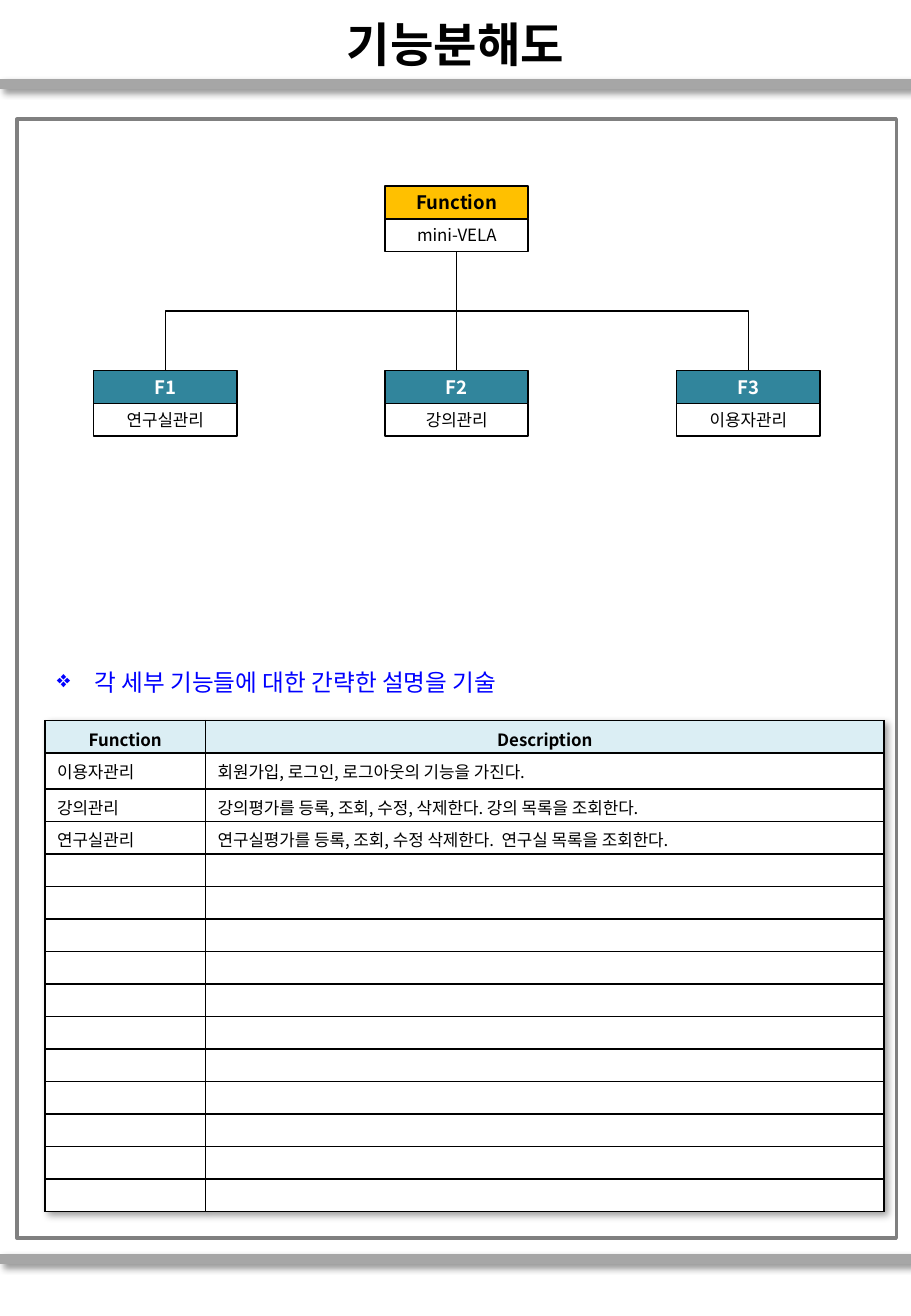
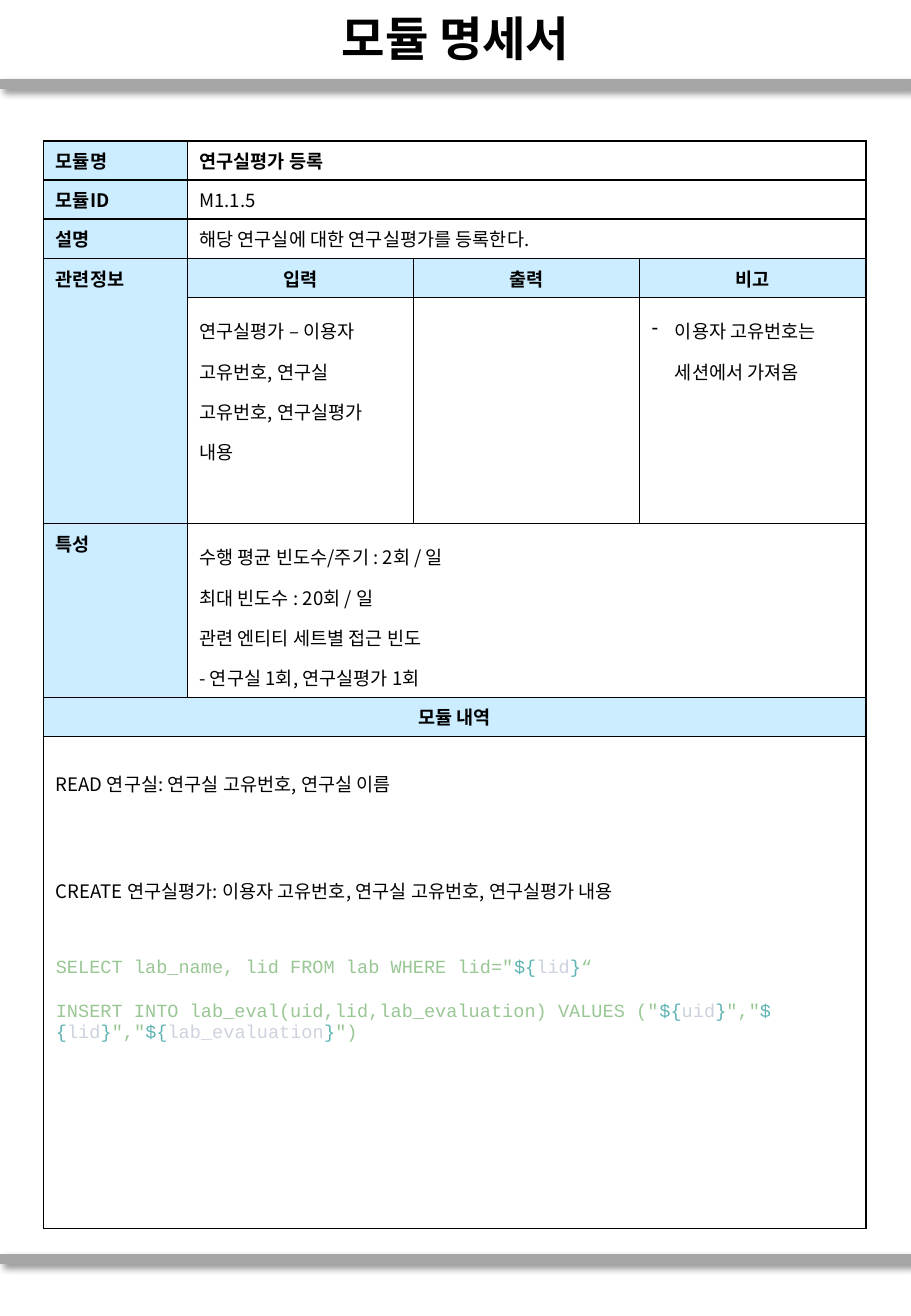
from dataclasses import dataclass

from lxml import etree
from pptx import Presentation
from pptx import util as u
from pptx.dml.color import RGBColor
from pptx.enum import shapes, text
from pptx.oxml import ns

FONT, CODE_FONT = "Noto Sans CJK KR", "Courier New"
BLACK, WHITE, BLUE = "000000", "FFFFFF", "0000FF"
BAND, FRAME = "A6A6A6", "808080"
ROOT, BRANCH = "FFC000", "31859C"
HEADING, LABEL = "DBEEF4", "CCECFF"
SQL, MARK, FIELD = "99C794", "5FB3B3", "CDD3DE"
CENTER = text.PP_ALIGN.CENTER


@dataclass
class Box:
    left: float
    top: float
    width: float
    height: float

    def area(self, left, top, width, height):
        return Box(self.left + self.width * left / 100,
                   self.top + self.height * top / 100,
                   self.width * width / 100, self.height * height / 100)

    def emu(self):
        return [u.Inches(v) for v in (self.left, self.top, self.width, self.height)]


PAGE = Box(0, 0, 7.5, 10.83)


def rgb(color):
    return RGBColor.from_string(color)


def add_xml(parent, tag, **attributes):
    return etree.SubElement(parent, ns.qn(tag), attributes)


def add_shadow(properties, position):
    effects = etree.Element(ns.qn("a:effectLst"))
    shadow = add_xml(effects, "a:outerShdw", blurRad=str(u.Pt(4)),
                     dist=str(u.Pt(3)), dir="2700000", algn="tl", rotWithShape="0")
    add_xml(add_xml(shadow, "a:srgbClr", val=BLACK), "a:alpha", val="40000")
    properties.insert(position, effects)


def style(font, size, color=BLACK, bold=False, name=FONT):
    font.size, font.bold, font.name = u.Pt(size), bold, name
    if color:
        font.color.rgb = rgb(color)
    add_xml(font._element, "a:ea", typeface=FONT)


def write(paragraph, words, size, color=BLACK, bold=False, align=None):
    paragraph.text = words
    paragraph.alignment = align
    style(paragraph.font, size, color, bold)


def set_bullet(paragraph, symbol, indent):
    properties = paragraph._p.get_or_add_pPr()
    properties.set("marL", str(u.Inches(indent)))
    properties.set("indent", str(-u.Inches(indent)))
    bullet = etree.Element(ns.qn("a:buChar"), char=symbol)
    properties.insert(len(properties.findall(ns.qn("a:lnSpc"))), bullet)


def add_line(slide, kind, start, end, color, width):
    line = slide.shapes.add_connector(kind, *map(u.Inches, (*start, *end)))
    line.line.color.rgb, line.line.width = rgb(color), u.Pt(width)
    return line


def add_bands(slide, layout):
    for share in (6.37, 95.66):
        height = PAGE.height * share / 100
        band = add_line(slide, shapes.MSO_CONNECTOR.STRAIGHT, (0, height),
                        (PAGE.width, height), BAND, 6)
        properties = band._element.spPr
        add_shadow(properties, len(properties))
        layout.shapes.element.append(band._element)


def add_title(slide, words, top):
    title = slide.shapes.title
    title.left, title.top, title.width, title.height = PAGE.area(0, top, 100, 5.54).emu()
    frame = title.text_frame
    frame.auto_size = text.MSO_AUTO_SIZE.NONE
    frame.vertical_anchor = text.MSO_ANCHOR.MIDDLE
    write(frame.paragraphs[0], words, 28, bold=True, align=CENTER)


def add_rectangle(slide, box, fill, line, width):
    rectangle = slide.shapes.add_shape(shapes.MSO_SHAPE.RECTANGLE, *box.emu())
    rectangle.shadow.inherit = False
    rectangle.fill.solid()
    rectangle.fill.fore_color.rgb = rgb(fill)
    rectangle.line.color.rgb, rectangle.line.width = rgb(line), u.Pt(width)
    return rectangle


def add_node(slide, box, code, name, fill, color):
    halves = []
    for top, words, back, ink, size in ((0, code, fill, color, 11),
                                        (50, name, WHITE, BLACK, 10)):
        half = add_rectangle(slide, box.area(0, top, 100, 50), back, BLACK, 1)
        frame = half.text_frame
        frame.margin_top = frame.margin_bottom = 0
        frame.vertical_anchor = text.MSO_ANCHOR.MIDDLE
        write(frame.paragraphs[0], words, size, ink, size == 11, CENTER)
        halves.append(half)
    return halves


def join(slide, parent, child):
    start = parent.left + parent.width // 2, parent.top + parent.height
    end = child.left + child.width // 2, child.top
    span, drop = end[0] - start[0], end[1] - start[1]
    straight = abs(span) < u.Inches(0.05)
    kind = shapes.MSO_CONNECTOR.STRAIGHT if straight else shapes.MSO_CONNECTOR.ELBOW
    line = add_line(slide, kind, (0, 0), (1, 1), BLACK, 0.75)
    line.begin_connect(parent, 2)
    line.end_connect(child, 0)
    properties = line._element.spPr
    add_xml(properties, "a:effectLst")
    if not straight:
        line.left = (start[0] + end[0] - drop) // 2
        line.top = (start[1] + end[1] - abs(span)) // 2
        line.width, line.height = drop, abs(span)
        turn = properties.find(ns.qn("a:xfrm"))
        turn.attrib.clear()
        turn.set("rot", "5400000" if span < 0 else "16200000")
        if span > 0:
            turn.set("flipH", "1")


def add_tree(slide, box):
    width, height = 19.73, 26.21
    step = (100 - width) / 2
    root = add_node(slide, box.area(step, 0, width, height),
                    "Function", "mini-VELA", ROOT, BLACK)
    for index, name in enumerate(("연구실관리", "강의관리", "이용자관리")):
        branch = add_node(slide, box.area(index * step, 100 - height, width, height),
                          f"F{index + 1}", name, BRANCH, WHITE)
        join(slide, root[1], branch[0])


def add_caption(slide, box):
    frame = slide.shapes.add_textbox(*box.emu()).text_frame
    frame.word_wrap = True
    caption = frame.paragraphs[0]
    write(caption, "각 세부 기능들에 대한 간략한 설명을 기술", 14, BLUE)
    set_bullet(caption, "❖", 0.31)


def paint(cell, color):
    properties = cell._tc.get_or_add_tcPr()
    for side in ("a:lnL", "a:lnR", "a:lnT", "a:lnB"):
        border = add_xml(properties, side, w=str(u.Pt(1)))
        add_xml(add_xml(border, "a:solidFill"), "a:srgbClr", val=BLACK)
    cell.fill.solid()
    cell.fill.fore_color.rgb = rgb(color)


def add_grid(slide, box, columns, rows, size):
    table = slide.shapes.add_table(len(rows), len(columns), *box.emu()).table
    table.first_row = table.horz_banding = False
    for column, share in zip(table.columns, columns):
        column.width = u.Inches(box.width * share / sum(columns))
    for row, share in zip(table.rows, rows):
        row.height = u.Inches(box.height * share / sum(rows))
    for cell in table.iter_cells():
        paint(cell, WHITE)
        add_xml(cell.text_frame.paragraphs[0]._p, "a:endParaRPr", sz=str(size * 100))
    return table


def fill_cell(cell, words, size, color=WHITE, bold=False, align=None):
    cell.fill.fore_color.rgb = rgb(color)
    write(cell.text_frame.paragraphs[0], words, size, BLACK, bold, align)


def add_descriptions(slide, box):
    entries = (
        ("이용자관리", "회원가입, 로그인, 로그아웃의 기능을 가진다."),
        ("강의관리", "강의평가를 등록, 조회, 수정, 삭제한다. 강의 목록을 조회한다."),
        ("연구실관리", "연구실평가를 등록, 조회, 수정 삭제한다.  연구실 목록을 조회한다."),
    )
    table = add_grid(slide, box, (1.32, 5.58), [0.27, 0.3] + [0.27] * 13, 10)
    add_shadow(table._tbl.tblPr, 0)
    for column, heading in enumerate(("Function", "Description")):
        fill_cell(table.cell(0, column), heading, 10, HEADING, True, CENTER)
    for row, entry in enumerate(entries, 1):
        for column, words in enumerate(entry):
            fill_cell(table.cell(row, column), words, 10)


def add_code(frame, before, pieces):
    paragraph = frame.add_paragraph()
    paragraph.space_before = u.Pt(before)
    style(paragraph.font, 11, None, name=CODE_FONT)
    for words, color in pieces:
        run = paragraph.add_run()
        run.text, run.font.color.rgb = words, rgb(color)


def variable(name):
    return [("${", MARK), (name, FIELD), ("}", MARK)]


def add_details(frame):
    for number, words in enumerate((
            "READ 연구실: 연구실 고유번호, 연구실 이름",
            "CREATE 연구실평가: 이용자 고유번호, 연구실 고유번호, 연구실평가 내용")):
        paragraph = frame.add_paragraph() if number else frame.paragraphs[0]
        write(paragraph, words, 11)
        paragraph.line_spacing = 2.0
        paragraph.space_before = u.Pt(32 * number)
    comma = [('","', SQL)]
    add_code(frame, 32, [('SELECT lab_name, lid FROM lab WHERE lid="', SQL),
                         *variable("lid"), ("“", SQL)])
    add_code(frame, 13, [
        ('INSERT INTO lab_eval(uid,lid,lab_evaluation) VALUES ("', SQL),
        *variable("uid"), *comma, *variable("lid"), *comma,
        *variable("lab_evaluation"), ('")', SQL)])


def add_specification(slide, box):
    table = add_grid(slide, box, (1.18, 1.86, 1.86, 1.86),
                     (0.32, 0.32, 0.32, 0.32, 1.86, 1.43, 0.32, 4.05), 11)
    for row, label in {0: "모듈명", 1: "모듈ID", 2: "설명", 3: "관련정보", 5: "특성"}.items():
        fill_cell(table.cell(row, 0), label, 11, LABEL, True)
    for row, words in enumerate(("연구실평가 등록", "M1.1.5",
                                 "해당 연구실에 대한 연구실평가를 등록한다.")):
        fill_cell(table.cell(row, 1), words, 11, bold=row == 0)
    for column, heading in enumerate(("입력", "출력", "비고"), 1):
        fill_cell(table.cell(3, column), heading, 11, LABEL, True, CENTER)
    fill_cell(table.cell(6, 0), "모듈 내역", 11, LABEL, True, CENTER)
    fill_cell(table.cell(4, 1), "연구실평가 – 이용자 고유번호, 연구실 고유번호, 연구실평가 내용", 11)
    fill_cell(table.cell(4, 3), "이용자 고유번호는 세션에서 가져옴", 11)
    traits = table.cell(5, 1).text_frame
    for number, words in enumerate((
            "수행 평균 빈도수/주기 : 2회 / 일", "최대 빈도수 : 20회 / 일",
            "관련 엔티티 세트별 접근 빈도", "- 연구실 1회, 연구실평가 1회")):
        write(traits.add_paragraph() if number else traits.paragraphs[0], words, 11)
    for row, column in ((4, 1), (4, 3), (5, 1)):
        for paragraph in table.cell(row, column).text_frame.paragraphs:
            paragraph.line_spacing = 1.5
    set_bullet(table.cell(4, 3).text_frame.paragraphs[0], "-", 0.19)
    add_details(table.cell(7, 0).text_frame)
    for row in (0, 1, 2, 5):
        table.cell(row, 1).merge(table.cell(row, 3))
    for row in (6, 7):
        table.cell(row, 0).merge(table.cell(row, 3))
    table.cell(3, 0).merge(table.cell(4, 0))


def build_functions(slide):
    add_title(slide, "기능분해도", 0.55)
    add_rectangle(slide, PAGE.area(1.87, 9.05, 96.53, 85.04), WHITE, FRAME, 2)
    add_caption(slide, PAGE.area(4.93, 50.32, 81.87, 3.14))
    add_descriptions(slide, PAGE.area(4.93, 54.75, 92.13, 37.21))
    add_tree(slide, PAGE.area(10.27, 14.13, 79.73, 19.02))


def build_module(slide):
    add_title(slide, "모듈 명세서", 0.09)
    add_specification(slide, PAGE.area(4.8, 10.71, 90.27, 82.55))


def main():
    deck = Presentation()
    deck.slide_width, deck.slide_height = u.Inches(PAGE.width), u.Inches(PAGE.height)
    layout = deck.slide_layouts[5]
    functions, module = (deck.slides.add_slide(layout) for _ in range(2))
    add_bands(functions, layout)
    build_functions(functions)
    build_module(module)
    deck.save("out.pptx")


if __name__ == "__main__":
    main()
